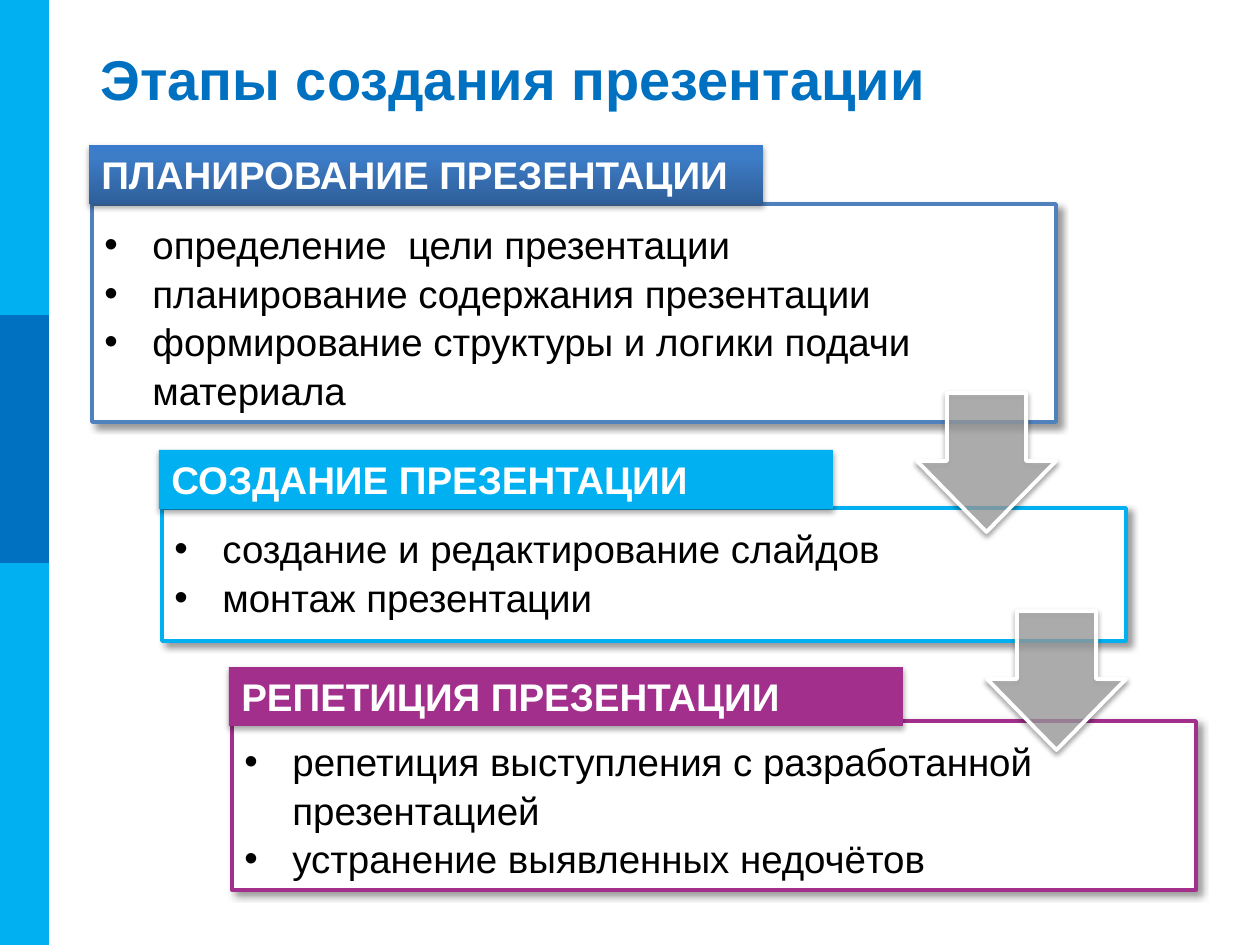
from lxml.etree import SubElement
from pptx import Presentation
from pptx.dml.color import RGBColor
from pptx.enum.shapes import MSO_SHAPE
from pptx.enum.text import MSO_ANCHOR, PP_ALIGN
from pptx.oxml import parse_xml
from pptx.oxml.ns import nsdecls, qn
from pptx.util import Emu, Pt

PX_PER_INCH = 126
COLORS = {
    "sky": "00B0F0", "blue": "0070C0", "steel": "4F81BD", "purple": "A12F8B",
    "gray": "A6A6A6", "white": "FFFFFF", "black": "000000",
}
PLANNING_GRADIENT = [(0, "2F5F99"), (80, "3D7CC7"), (100, "3A7CCB")]
FONT = "Arial"
STEP = 70  # each stage starts this far to the right of the one before
HEADER_WIDTH, HEADER_HEIGHT = 674, 59
PANEL_INSET, PANEL_WIDTH = 3, 964
ARROW_SIZE = 139


def px(length):
    return Emu(round(length * 914400 / PX_PER_INCH))


def rgb(name):
    return RGBColor.from_string(COLORS[name])


def add_block(shapes, preset, box, fill, line=None, line_width=2):
    block = shapes.add_shape(preset, *map(px, box))
    block.shadow.inherit = False
    block.fill.solid()
    block.fill.fore_color.rgb = rgb(fill)
    if line:
        block.line.color.rgb = rgb(line)
        block.line.width = Pt(line_width)
    else:
        block.line.fill.background()
    return block


def add_shadow(block, opacity, blur, distance, angle):
    """Give an outer shadow; blur and distance are in points."""
    effects = block.element.spPr.find(qn("a:effectLst"))
    shadow = SubElement(
        effects, qn("a:outerShdw"), blurRad=str(Pt(blur)), dist=str(Pt(distance)),
        dir=str(angle * 60000), algn="tl", rotWithShape="0")
    color = SubElement(shadow, qn("a:srgbClr"), val=COLORS["black"])
    SubElement(color, qn("a:alpha"), val=str(opacity * 1000))


def fill_upward(block, stops):
    """Replace the fill by a gradient that runs from bottom to top."""
    gradient = parse_xml(f'<a:gradFill {nsdecls("a")} rotWithShape="1"/>')
    stop_list = SubElement(gradient, qn("a:gsLst"))
    for percent, color in stops:
        stop = SubElement(stop_list, qn("a:gs"), pos=str(percent * 1000))
        SubElement(stop, qn("a:srgbClr"), val=color)
    SubElement(gradient, qn("a:lin"), ang="16200000", scaled="0")
    properties = block.element.spPr
    properties.replace(properties.find(qn("a:solidFill")), gradient)


def add_run(paragraph, text, size, color, bold=False):
    paragraph.alignment = PP_ALIGN.LEFT
    run = paragraph.add_run()
    run.text = text
    run.font.name = FONT
    run.font.size = Pt(size)
    run.font.bold = bold
    run.font.color.rgb = rgb(color)


def add_bullet(paragraph):
    properties = paragraph._p.get_or_add_pPr()
    properties.set("marL", str(px(48)))
    properties.set("indent", str(-px(48)))
    SubElement(properties, qn("a:buFont"), typeface=FONT)
    SubElement(properties, qn("a:buChar"), char="•")


def add_side_band(slide, width, height):
    add_block(slide.shapes, MSO_SHAPE.RECTANGLE, (0, 0, width, height), "sky")
    add_block(slide.shapes, MSO_SHAPE.RECTANGLE, (0, 315, width, 248), "blue")


def add_title(slide, box, text):
    frame = slide.shapes.add_textbox(*map(px, box)).text_frame
    frame.word_wrap = True
    frame.vertical_anchor = MSO_ANCHOR.MIDDLE
    add_run(frame.paragraphs[0], text, 32, "blue", bold=True)


def add_stage(slide, left, top, panel_top, bottom, color, heading, tasks, gradient=None):
    """Group a bulleted panel with the heading on its upper left corner."""
    shapes = slide.shapes.add_group_shape().shapes
    panel = add_block(
        shapes, MSO_SHAPE.RECTANGLE,
        (left + PANEL_INSET, panel_top, PANEL_WIDTH, bottom - panel_top), "white", color)
    add_shadow(panel, 40, 4, 3, 45)
    header = add_block(
        shapes, MSO_SHAPE.RECTANGLE, (left, top, HEADER_WIDTH, HEADER_HEIGHT), color)
    add_shadow(header, 35, 3.1, 1.8, 90)
    if gradient:
        fill_upward(header, gradient)

    for block in (panel, header):
        block.text_frame.word_wrap = True
        block.text_frame.vertical_anchor = MSO_ANCHOR.TOP
    add_run(header.text_frame.paragraphs[0], heading, 22, "white", bold=True)

    frame = panel.text_frame
    frame.margin_top = px(15)
    for index, task in enumerate(tasks):
        paragraph = frame.add_paragraph() if index else frame.paragraphs[0]
        add_bullet(paragraph)
        paragraph.line_spacing = 1.05
        add_run(paragraph, task, 22, "black")


def add_arrow(slide, left, top):
    arrow = add_block(
        slide.shapes, MSO_SHAPE.DOWN_ARROW, (left, top, ARROW_SIZE, ARROW_SIZE),
        "gray", "white", 2.25)
    arrow.adjustments[0] = 0.57
    arrow.adjustments[1] = 0.51
    color = arrow.element.spPr.find(qn("a:solidFill")).find(qn("a:srgbClr"))
    SubElement(color, qn("a:alpha"), val="70000")
    add_shadow(arrow, 38, 3.1, 1.6, 90)


STAGES = [
    (145, 204, 422, "steel", "ПЛАНИРОВАНИЕ ПРЕЗЕНТАЦИИ",
     ["определение  цели презентации",
      "планирование содержания презентации",
      "формирование структуры и логики подачи материала"], PLANNING_GRADIENT),
    (450, 508, 641, "sky", "СОЗДАНИЕ ПРЕЗЕНТАЦИИ",
     ["создание и редактирование слайдов", "монтаж презентации"]),
    (667, 721, 890, "purple", "РЕПЕТИЦИЯ ПРЕЗЕНТАЦИИ",
     ["репетиция выступления с разработанной презентацией",
      "устранение выявленных недочётов"]),
]
ARROW_TOPS = [393, 611]


def main():
    presentation = Presentation()
    presentation.slide_width = px(1260)
    presentation.slide_height = px(945)
    slide = presentation.slides.add_slide(presentation.slide_layouts[6])

    add_side_band(slide, 49, 945)
    add_title(slide, (88, 38, 1137, 81), "Этапы создания презентации")
    first_left = 89
    for index, stage in enumerate(STAGES):
        add_stage(slide, first_left + index * STEP, *stage)
    first_arrow_left = first_left + PANEL_INSET + PANEL_WIDTH - ARROW_SIZE
    for index, top in enumerate(ARROW_TOPS):
        add_arrow(slide, first_arrow_left + index * STEP, top)

    presentation.save("out.pptx")


if __name__ == "__main__":
    main()
